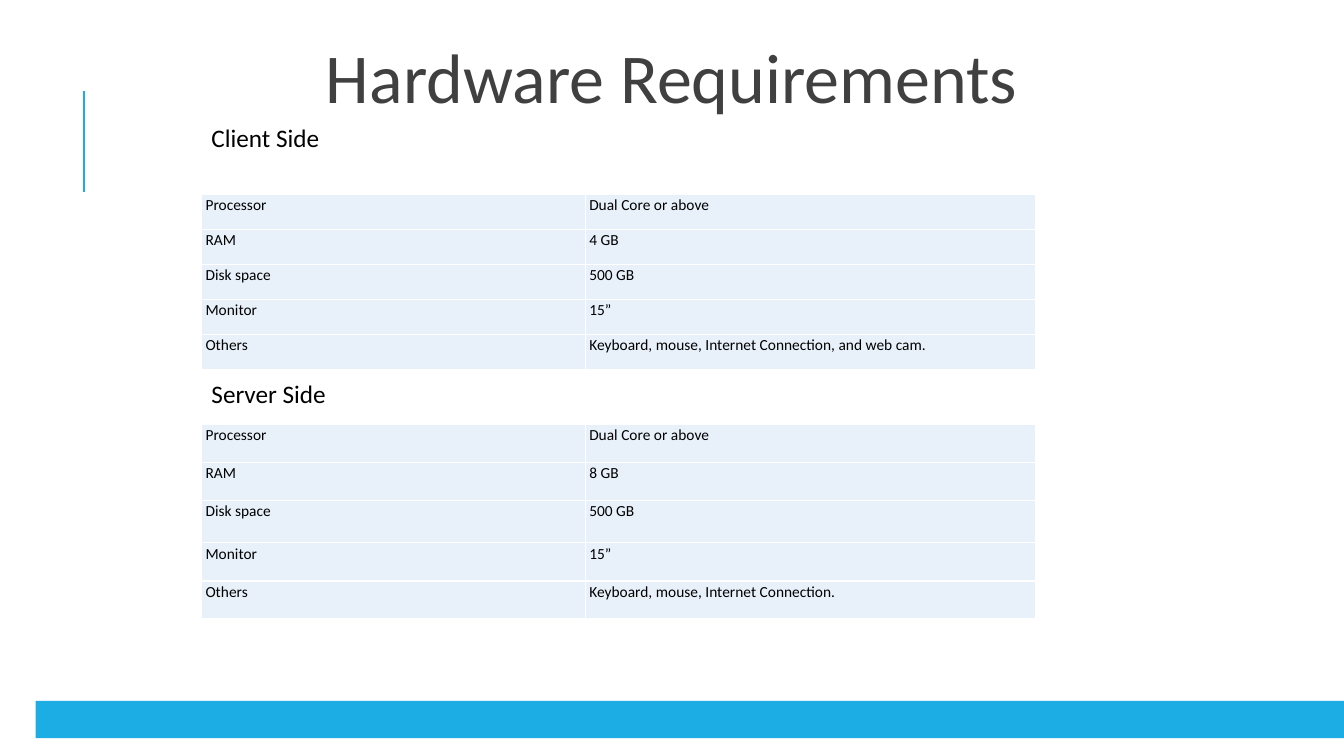
from lxml import etree
from pptx import Presentation
from pptx.dml.color import RGBColor
from pptx.enum.shapes import MSO_CONNECTOR, MSO_SHAPE
from pptx.enum.text import MSO_ANCHOR, PP_ALIGN
from pptx.oxml.ns import qn
from pptx.util import Cm, Pt

TITLE = "Hardware Requirements"
SECTIONS = [
    {
        "heading": "Client Side",
        "heading_top": 2.97,
        "table_top": 4.91,
        "row_heights": [0.88] * 5,
        "rows": [
            ("Processor", "Dual Core or above"),
            ("RAM", "4 GB"),
            ("Disk space", "500 GB"),
            ("Monitor", "15”"),
            ("Others", "Keyboard, mouse, Internet Connection, and web cam."),
        ],
    },
    {
        "heading": "Server Side",
        "heading_top": 9.4,
        "table_top": 10.7,
        "row_heights": [0.96, 0.96, 1.06, 0.96, 0.96],
        "rows": [
            ("Processor", "Dual Core or above"),
            ("RAM", "8 GB"),
            ("Disk space", "500 GB"),
            ("Monitor", "15”"),
            ("Others", "Keyboard, mouse, Internet Connection."),
        ],
    },
]

FONT = "Calibri"
BLUE = RGBColor(0x1C, 0xAD, 0xE4)
PALE = RGBColor(0xE8, 0xF1, 0xFA)
GREY = RGBColor(0x40, 0x40, 0x40)
BLACK = RGBColor(0, 0, 0)
WHITE = RGBColor(0xFF, 0xFF, 0xFF)
CENTER, JUSTIFY = PP_ALIGN.CENTER, PP_ALIGN.JUSTIFY
MIDDLE = MSO_ANCHOR.MIDDLE
RECTANGLE = MSO_SHAPE.RECTANGLE
STRAIGHT = MSO_CONNECTOR.STRAIGHT

SLIDE_W, SLIDE_H = 33.87, 19.05
LEFT = 5.08
COLUMN_WIDTHS = [9.67, 11.34]
ACCENT_X = 2.12
BAR_LEFT, BAR_TOP, BAR_H = 0.9, 17.66, 0.94


def set_font(p, size, color):
    p.font.name = FONT
    p.font.size = Pt(size)
    p.font.color.rgb = color


def set_borders(cell):
    tcPr = cell._tc.get_or_add_tcPr()
    for i, side in enumerate(("a:lnL", "a:lnR", "a:lnT", "a:lnB")):
        ln = etree.Element(qn(side), w=str(Pt(1)))
        fill = etree.SubElement(ln, qn("a:solidFill"))
        etree.SubElement(fill, qn("a:srgbClr"), val=str(WHITE))
        tcPr.insert(i, ln)


def add_heading(slide, text, top):
    sp = slide.shapes.add_textbox(Cm(LEFT), Cm(top), Cm(6.86), Cm(1.02))
    tf = sp.text_frame
    tf.word_wrap = True
    tf.text = text
    set_font(tf.paragraphs[0], 18, BLACK)


def add_specs(slide, rows, top, heights):
    table = slide.shapes.add_table(
        len(rows), len(COLUMN_WIDTHS), Cm(LEFT), Cm(top),
        Cm(sum(COLUMN_WIDTHS)), Cm(sum(heights))).table
    table.first_row = False
    table.horz_banding = False
    for column, width in zip(table.columns, COLUMN_WIDTHS):
        column.width = Cm(width)
    for row, height, values in zip(table.rows, heights, rows):
        row.height = Cm(height)
        for cell, value in zip(row.cells, values):
            cell.text = value
            cell.margin_left = cell.margin_right = Cm(0.1)
            cell.margin_top = cell.margin_bottom = 0
            cell.fill.solid()
            cell.fill.fore_color.rgb = PALE
            set_borders(cell)
            p = cell.text_frame.paragraphs[0]
            p.alignment = JUSTIFY
            p.line_spacing = 1.07
            p.space_after = Pt(8)
            set_font(p, 11, BLACK)


def main():
    prs = Presentation()
    prs.slide_width, prs.slide_height = Cm(SLIDE_W), Cm(SLIDE_H)
    slide = prs.slides.add_slide(prs.slide_layouts[5])

    accent = slide.shapes.add_connector(
        STRAIGHT, Cm(ACCENT_X), Cm(4.83), Cm(ACCENT_X), Cm(2.29))
    accent.line.color.rgb = BLUE
    accent.line.width = Pt(1.5)
    etree.SubElement(accent._element.spPr, qn("a:effectLst"))

    bar = slide.shapes.add_shape(
        RECTANGLE, Cm(BAR_LEFT), Cm(BAR_TOP), Cm(SLIDE_W - BAR_LEFT), Cm(BAR_H))
    bar.shadow.inherit = False
    bar.fill.solid()
    bar.fill.fore_color.rgb = BLUE
    bar.line.fill.background()

    title = slide.shapes.title
    title.left, title.top = Cm(0), Cm(0.94)
    title.width, title.height = Cm(SLIDE_W), Cm(2.21)
    tf = title.text_frame
    tf.text = TITLE
    tf.word_wrap = True
    tf.vertical_anchor = MIDDLE
    tf.margin_left = tf.margin_right = tf.margin_top = tf.margin_bottom = Cm(0.13)
    p = tf.paragraphs[0]
    p.alignment = CENTER
    p.line_spacing = 0.9
    p.space_after = Pt(2)
    set_font(p, 50, GREY)

    for section in SECTIONS:
        add_heading(slide, section["heading"], section["heading_top"])
        add_specs(slide, section["rows"], section["table_top"], section["row_heights"])

    prs.save("out.pptx")


if __name__ == "__main__":
    main()
